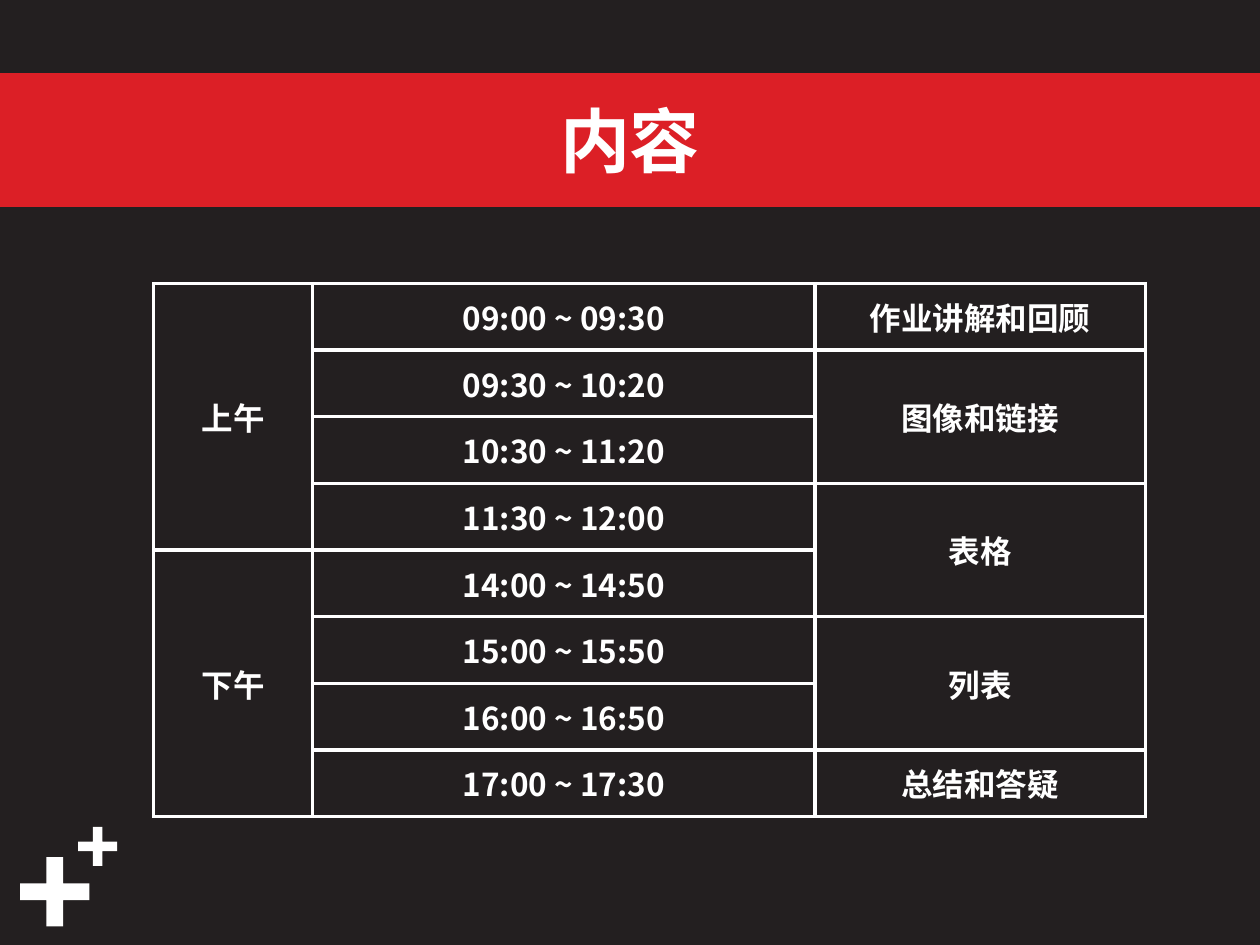
"""Build the course agenda slide: a title band, a timetable and plus ornaments."""
from typing import NamedTuple

from lxml.etree import SubElement
from pptx import Presentation
from pptx.dml.color import RGBColor
from pptx.enum.shapes import MSO_SHAPE
from pptx.enum.text import MSO_ANCHOR, PP_ALIGN
from pptx.oxml.ns import qn
from pptx.util import Inches, Pt

COLORS = {"background": "231F20", "band": "DC1F26", "foreground": "FFFFFF"}
FONT = "Noto Sans CJK SC"
SLIDE_WIDTH, SLIDE_HEIGHT = Inches(10), Inches(7.5)
TABLE_LEFT, TABLE_TOP = 0.122, 0.3
COLUMN_SHARES = (0.126, 0.399, 0.262)
ROW_SHARE = 0.0705
BORDER_WIDTH = Pt(2.25)


class Plus(NamedTuple):
    left: float
    top: float
    size: float


class Entry(NamedTuple):
    text: str
    rows: int = 1


PLUSES = (Plus(0.016, 0.907, 0.055), Plus(0.062, 0.875, 0.031))
TIMETABLE = (
    (Entry("上午", 4), Entry("下午", 4)),
    tuple(Entry(time) for time in (
        "09:00 ~ 09:30", "09:30 ~ 10:20", "10:30 ~ 11:20", "11:30 ~ 12:00",
        "14:00 ~ 14:50", "15:00 ~ 15:50", "16:00 ~ 16:50", "17:00 ~ 17:30",
    )),
    (Entry("作业讲解和回顾"), Entry("图像和链接", 2), Entry("表格", 2),
     Entry("列表", 2), Entry("总结和答疑")),
)


def color(name: str) -> RGBColor:
    return RGBColor.from_string(COLORS[name])


def across(share: float) -> int:
    return round(SLIDE_WIDTH * share)


def down(share: float) -> int:
    return round(SLIDE_HEIGHT * share)


def write(text_frame, text: str, size: int) -> None:
    text_frame.text = text
    paragraph = text_frame.paragraphs[0]
    paragraph.alignment = PP_ALIGN.CENTER
    font = paragraph.font
    font.name, font.size, font.bold = FONT, Pt(size), True
    font.color.rgb = color("foreground")
    properties = paragraph._p.pPr.find(qn("a:defRPr"))
    SubElement(properties, qn("a:ea"), typeface=FONT)


def draw_plus(slide, plus: Plus) -> None:
    size = across(plus.size)
    shape = slide.shapes.add_shape(
        MSO_SHAPE.CROSS, across(plus.left), down(plus.top), size, size)
    shape.adjustments[0] = 0.378
    shape.shadow.inherit = False
    shape.fill.solid()
    shape.fill.fore_color.rgb = color("foreground")
    shape.line.fill.background()


def draw_title(slide, text: str) -> None:
    title = slide.shapes.title
    title.left, title.top = 0, down(0.08)
    title.width, title.height = SLIDE_WIDTH, down(0.136)
    title.fill.solid()
    title.fill.fore_color.rgb = color("band")
    title.line.color.rgb = color("band")
    title.line.width = Pt(3)
    title.text_frame.vertical_anchor = MSO_ANCHOR.MIDDLE
    write(title.text_frame, text, 40)


def style_cell(cell) -> None:
    properties = cell._tc.get_or_add_tcPr()
    for side in ("lnL", "lnR", "lnT", "lnB"):
        border = SubElement(properties, qn(f"a:{side}"), w=str(BORDER_WIDTH))
        fill = SubElement(border, qn("a:solidFill"))
        SubElement(fill, qn("a:srgbClr"), val=COLORS["foreground"])
    cell.fill.background()
    cell.vertical_anchor = MSO_ANCHOR.MIDDLE


def draw_timetable(slide) -> None:
    row_count = len(TIMETABLE[1])
    table = slide.shapes.add_table(
        row_count, len(TIMETABLE), across(TABLE_LEFT), down(TABLE_TOP),
        across(sum(COLUMN_SHARES)), down(ROW_SHARE * row_count)).table
    table.first_row = table.horz_banding = False
    for row in table.rows:
        row.height = down(ROW_SHARE)
    for cell in table.iter_cells():
        style_cell(cell)
    for column, (share, entries) in enumerate(zip(COLUMN_SHARES, TIMETABLE)):
        table.columns[column].width = across(share)
        row = 0
        for entry in entries:
            cell = table.cell(row, column)
            if entry.rows > 1:
                cell.merge(table.cell(row + entry.rows - 1, column))
            write(cell.text_frame, entry.text, 18)
            row += entry.rows


def main() -> None:
    presentation = Presentation()
    presentation.slide_width, presentation.slide_height = SLIDE_WIDTH, SLIDE_HEIGHT
    slide = presentation.slides.add_slide(
        presentation.slide_layouts.get_by_name("Title Only"))
    slide.background.fill.solid()
    slide.background.fill.fore_color.rgb = color("background")
    for plus in PLUSES:
        draw_plus(slide, plus)
    draw_title(slide, "内容")
    draw_timetable(slide)
    presentation.save("out.pptx")


if __name__ == "__main__":
    main()
